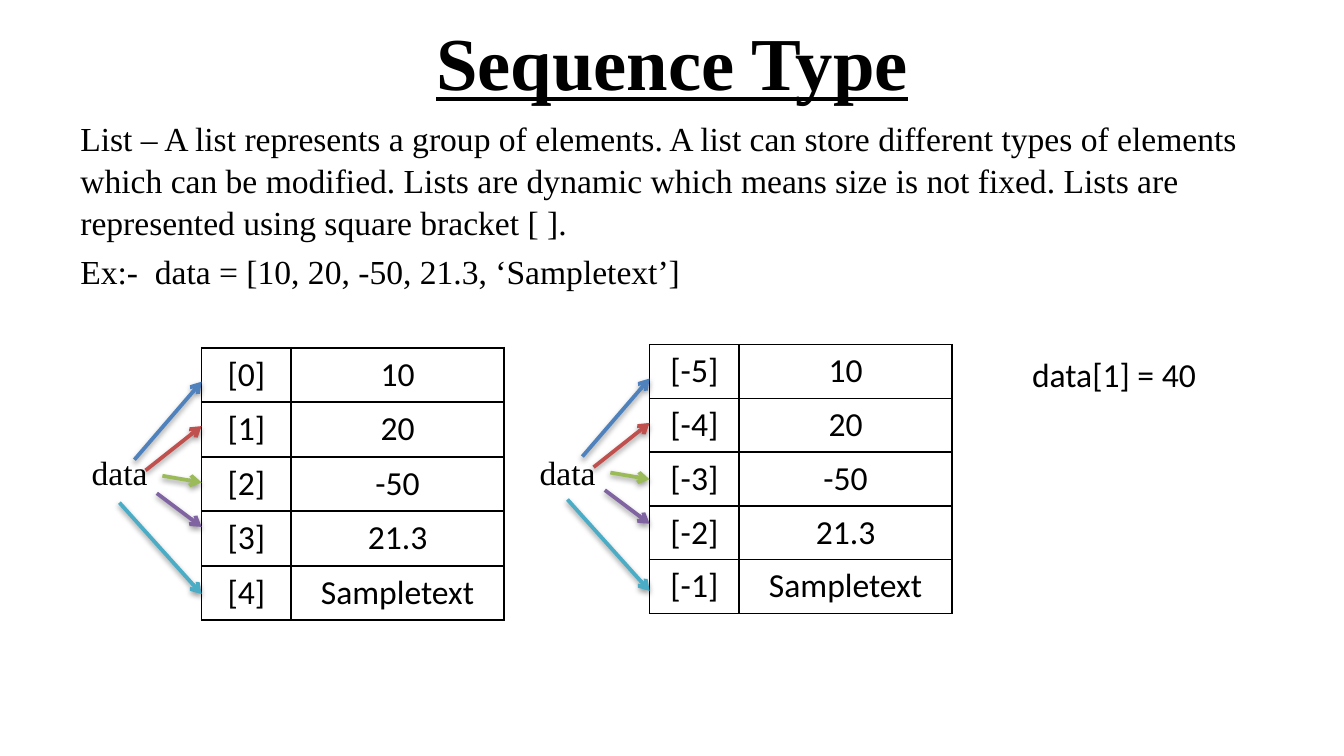
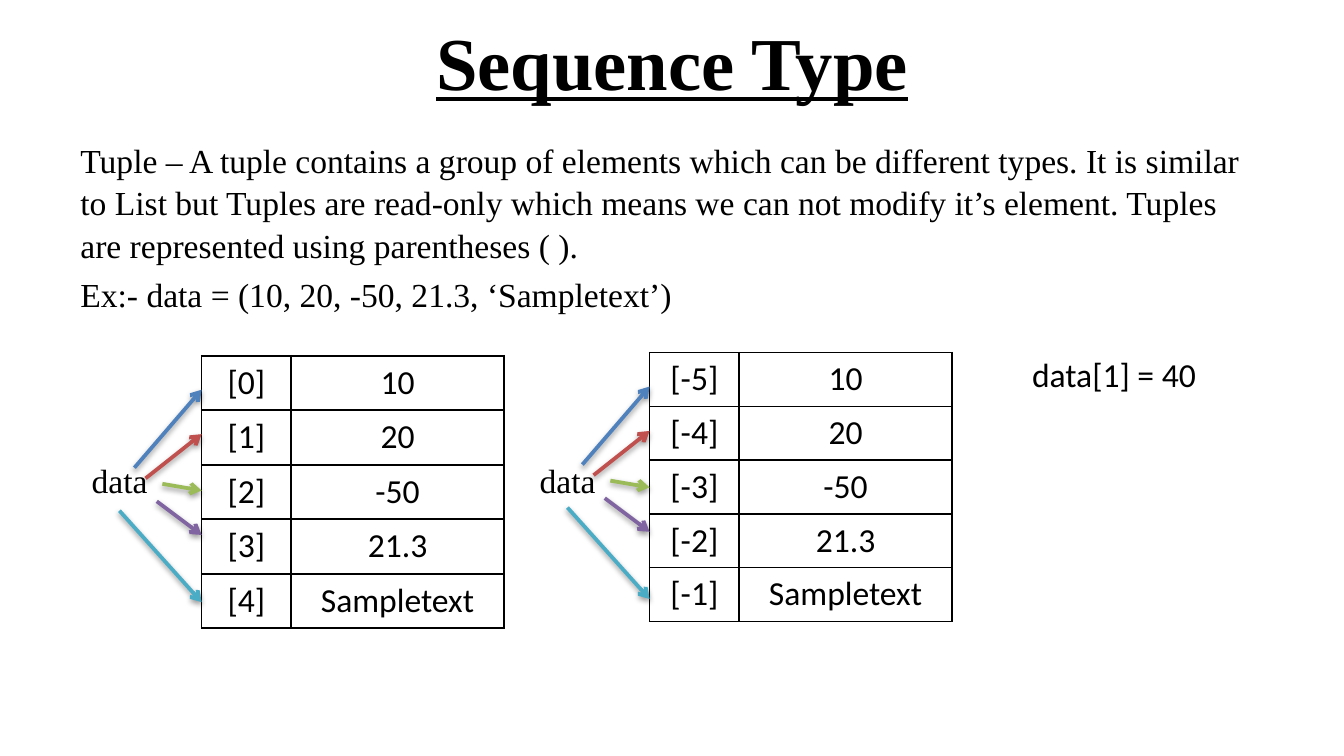
"""Build two slides that show how lists and tuples are indexed."""
from lxml.etree import SubElement
from pptx import Presentation
from pptx.dml.color import RGBColor
from pptx.enum.shapes import MSO_CONNECTOR as CONN
from pptx.enum.text import MSO_ANCHOR as ANCHOR, MSO_AUTO_SIZE as FIT, PP_ALIGN as AL
from pptx.oxml import parse_xml
from pptx.oxml.ns import nsdecls, qn
from pptx.util import Pt

BLACK = RGBColor(0x00, 0x00, 0x00)
BLUE = RGBColor(0x4F, 0x81, 0xBD)
RED = RGBColor(0xC0, 0x50, 0x4D)
GREEN = RGBColor(0x9B, 0xBB, 0x59)
PURPLE = RGBColor(0x80, 0x64, 0xA2)
AQUA = RGBColor(0x4B, 0xAC, 0xC6)

TITLE = {"name": "Times New Roman", "size": Pt(40), "bold": True, "underline": True}
SERIF = {"name": "Times New Roman", "size": Pt(18)}
SANS = {"name": "Calibri", "size": Pt(18)}
PROSE = {"space_before": Pt(3.6), "line_spacing": 1.05}
CENTER = {"alignment": AL.CENTER}

VALUES = ["10", "20", "-50", "21.3", "Sampletext"]
COL_WIDTHS = [48, 114]
BORDER = (f'<a:{{}} {nsdecls("a")} w="12700"><a:solidFill>'
          f'<a:srgbClr val="{BLACK}"/></a:solidFill></a:{{}}>')
SHADOW = (f'<a:effectLst {nsdecls("a")}><a:outerShdw blurRad="{Pt(3.1)}" dist="{Pt(1.6)}" '
          'dir="5400000" rotWithShape="0"><a:srgbClr val="000000">'
          '<a:alpha val="38000"/></a:srgbClr></a:outerShdw></a:effectLst>')

ARROWS = [
    (BLUE, -36, 60, 18.2),
    (RED, -30, 65.7, 42),
    (GREEN, -21, 68.6, 72.2),
    (PURPLE, -24, 78, 96),
    (AQUA, -44, 83, 132),
]

INDEXED_TABLES = [
    (108, 186.3, 29.2, range(0, 5)),
    (348, 184.6, 28.8, range(-5, 0)),
]

SLIDES = [
    (58.3, 0, [
        "List – A list represents a group of elements. A list can store different types of "
        "elements which can be modified. Lists are dynamic which means size is not fixed. "
        "Lists are represented using square bracket [ ].",
        "Ex:-  data = [10, 20, -50, 21.3, ‘Sampletext’]"]),
    (70.3, 4.3, [
        "Tuple – A tuple contains a group of elements which can be different types. It is "
        "similar to List but Tuples are read-only which means we can not modify it’s element. "
        "Tuples are represented using parentheses ( ).",
        "Ex:- data = (10, 20, -50, 21.3, ‘Sampletext’)"]),
]


def write(tf, lines, font, para):
    """Fill a text frame with one formatted paragraph per line."""
    for i, line in enumerate(lines):
        p = tf.add_paragraph() if i else tf.paragraphs[0]
        for key, value in para.items():
            setattr(p, key, value)
        r = p.add_run()
        r.text = line
        for key, value in font.items():
            setattr(r.font, key, value)
        r.font.color.rgb = BLACK


def add_text(s, box, lines, font, para, **frame):
    """Add a text box with the given frame settings."""
    tf = s.shapes.add_textbox(*map(Pt, box)).text_frame
    for key, value in frame.items():
        setattr(tf, key, value)
    write(tf, lines, font, para)


prs = Presentation()
prs.slide_width, prs.slide_height = Pt(720), Pt(405)

for body_top, shift, body in SLIDES:
    s = prs.slides.add_slide(prs.slide_layouts[6])
    add_text(s, (36, -1.4, 648, 67.7), ["Sequence Type"], TITLE, CENTER,
             word_wrap=True, vertical_anchor=ANCHOR.MIDDLE)
    add_text(s, (36, body_top, 648, 108), body, SERIF, PROSE, word_wrap=True)

    for left, top, row_height, indexes in INDEXED_TABLES:
        top += shift
        frame = s.shapes.add_table(5, 2, Pt(left), Pt(top), Pt(sum(COL_WIDTHS)),
                                   Pt(5 * row_height))
        table = frame.table
        table.first_row = table.horz_banding = False
        for col, width in zip(table.columns, COL_WIDTHS):
            col.width = Pt(width)
        for row, index, value in zip(table.rows, indexes, VALUES):
            row.height = Pt(row_height)
            for cell, text in zip(row.cells, (f"[{index}]", value)):
                cell.margin_top = cell.margin_bottom = Pt(3.4)
                write(cell.text_frame, [text], SANS, CENTER)
                tc_pr = cell._tc.get_or_add_tcPr()
                for side in ("lnL", "lnR", "lnT", "lnB"):
                    tc_pr.append(parse_xml(BORDER.format(side, side)))
                cell.fill.background()

        add_text(s, (left - 66, 238.3 + shift, 44.6, 29), ["data"], SERIF, {},
                 word_wrap=False, auto_size=FIT.SHAPE_TO_FIT_TEXT)

        for color, dx, start, end in ARROWS:
            arrow = s.shapes.add_connector(CONN.STRAIGHT, Pt(left + dx), Pt(top + start),
                                           Pt(left), Pt(top + end))
            arrow.line.color.rgb = color
            arrow.line.width = Pt(2)
            SubElement(arrow.line._get_or_add_ln(), qn("a:tailEnd"), type="arrow")
            arrow._element.spPr.append(parse_xml(SHADOW))

    add_text(s, (545.8, 185.8, 103.7, 29), ["data[1] = 40"], SANS, {},
             word_wrap=False, auto_size=FIT.SHAPE_TO_FIT_TEXT)

prs.save("out.pptx")
